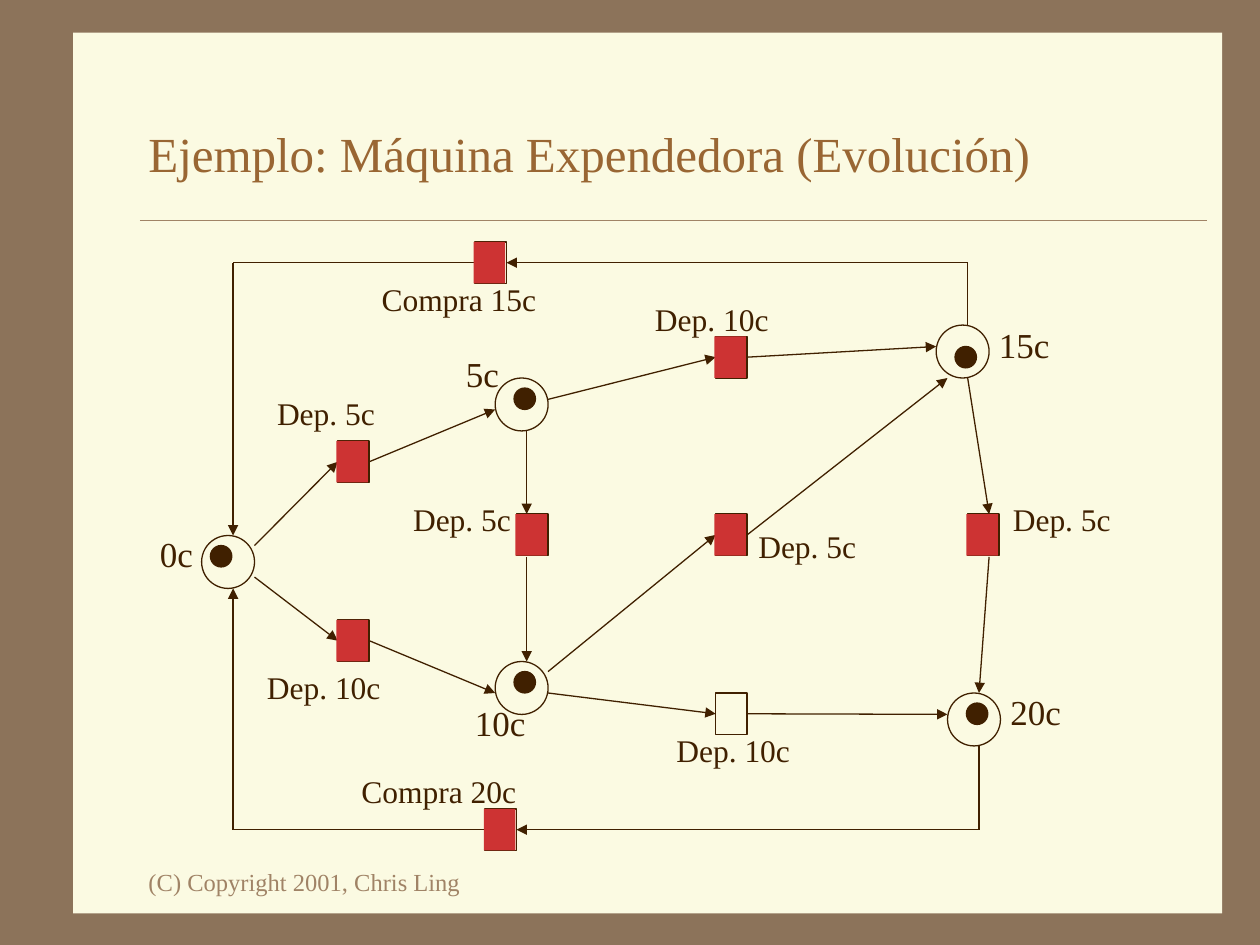
from lxml import etree
from pptx import Presentation
from pptx.dml.color import RGBColor
from pptx.enum.shapes import MSO_CONNECTOR, MSO_SHAPE
from pptx.enum.text import MSO_ANCHOR
from pptx.oxml.ns import qn
from pptx.util import Inches, Pt

STRAIGHT = MSO_CONNECTOR.STRAIGHT
RECTANGLE, OVAL = MSO_SHAPE.RECTANGLE, MSO_SHAPE.OVAL
TOP, MIDDLE = MSO_ANCHOR.TOP, MSO_ANCHOR.MIDDLE
LEFT, RIGHT = 1, 3  # connection sites of a rectangle

FRAME = RGBColor(0x8C, 0x73, 0x5A)
PAPER = RGBColor(0xFB, 0xFA, 0xE2)
RULE = RGBColor(0xA0, 0x83, 0x66)
TITLE = RGBColor(0x99, 0x66, 0x33)
INK = RGBColor(0x40, 0x20, 0x00)
FIRED = RGBColor(0xCD, 0x33, 0x33)
FONT = "Times New Roman"

PLACE_SIZE, TOKEN_SIZE = 0.42, 0.17
BAR_WIDTH, BAR_HEIGHT = 0.25, 0.33
FIRED_SHIFT = 0.01
LABEL_WIDTHS = {2: 0.46, 3: 0.6, 7: 0.98, 8: 1.1, 10: 1.43}  # by characters

# Positions below are inches from the corner of the diagram box.
# Place: (circle, token, label)
PLACES = {
    "0c": ((0.6, 3.25), (0.67, 3.33), (0.17, 3.18)),
    "5c": ((2.93, 2), (3.08, 2.08), (2.6, 1.75)),
    "10c": ((2.93, 4.25), (3.08, 4.33), (2.67, 4.52)),
    "15c": ((6.43, 1.58), (6.58, 1.75), (6.83, 1.52)),
    "20c": ((6.52, 4.5), (6.67, 4.58), (6.92, 4.43)),
}

# Transition: (bar, label text, label, fired)
TRANSITIONS = {
    "0 to 5": ((1.68, 2.5), "Dep. 5c", (1.1, 2.08), True),
    "0 to 10": ((1.68, 3.92), "Dep. 10c", (1.02, 4.25), True),
    "5 to 10": ((3.1, 3.08), "Dep. 5c", (2.18, 2.92), True),
    "5 to 15": ((4.68, 1.67), "Dep. 10c", (4.1, 1.33), True),
    "10 to 15": ((4.68, 3.08), "Dep. 5c", (4.92, 3.13), True),
    "10 to 20": ((4.68, 4.5), "Dep. 10c", (4.27, 4.75), False),
    "15 to 20": ((6.68, 3.08), "Dep. 5c", (6.94, 2.92), True),
    "buy 15": ((2.77, 0.92), "Compra 15c", (1.93, 1.17), True),
    "buy 20": ((2.85, 5.42), "Compra 20c", (1.77, 5.08), True),
}

# Arcs through the sides of a bar: (start, transition, end)
SIDE_ARCS = [
    ((1.02, 3.33), "0 to 5", (2.93, 2.25)),
    ((1.02, 3.58), "0 to 10", (2.93, 4.5)),
    ((3.35, 2.17), "5 to 15", (6.43, 1.75)),
    ((3.35, 4.33), "10 to 15", (6.52, 2)),
    ((3.35, 4.5), "10 to 20", (6.52, 4.67)),
]

# Arcs above and below a bar: (start, end)
VERTICAL_ARCS = [
    ((3.18, 2.42), (3.18, 3.08)),
    ((3.18, 3.42), (3.18, 4.25)),
    ((6.68, 2), (6.85, 3.08)),
    ((6.85, 3.42), (6.77, 4.5)),
]

# Return loops: (transition, right column, start height, end height)
LOOPS = [("buy 15", 6.68, 1.58, 3.25), ("buy 20", 6.77, 4.92, 3.67)]
LOOP_LEFT = 0.85


def add_box(slide, kind, left, top, width, height, fill=None, line=None):
    shape = slide.shapes.add_shape(
        kind, Inches(left), Inches(top), Inches(width), Inches(height))
    shape.shadow.inherit = False
    if fill is None:
        shape.fill.background()
    else:
        shape.fill.solid()
        shape.fill.fore_color.rgb = fill
    if line is None:
        shape.line.fill.background()
    else:
        shape.line.color.rgb = line
        shape.line.width = Pt(0.75)
    return shape


def add_text(slide, text, box, size, color, anchor=TOP, wrap=True):
    shape = slide.shapes.add_textbox(*(Inches(value) for value in box))
    text_frame = shape.text_frame
    text_frame.text = text
    text_frame.word_wrap = wrap
    text_frame.vertical_anchor = anchor
    font = text_frame.paragraphs[0].runs[0].font
    font.name, font.size, font.color.rgb = FONT, Pt(size), color


def add_line(slide, start, end, color=INK, width=0.75, arrow=True):
    connector = slide.shapes.add_connector(
        STRAIGHT, *(Inches(value) for value in (*start, *end)))
    connector.line.color.rgb = color
    connector.line.width = Pt(width)
    if arrow:
        line = connector.line._get_or_add_ln()
        etree.SubElement(line, qn("a:tailEnd"), type="triangle")
    etree.SubElement(connector._element.spPr, qn("a:effectLst"))
    return connector


def add_page(slide, left, top, width, height):
    slide.background.fill.solid()
    slide.background.fill.fore_color.rgb = FRAME
    add_box(slide, RECTANGLE, left, top, width, height, PAPER)
    # Title and the rule below it
    add_text(slide, "Ejemplo: Máquina Expendedora (Evolución)",
             (left + 0.5, top + 0.41, 8.5, 1.08), 28, TITLE, MIDDLE)
    rule_top = top + 1.49
    add_line(slide, (left + 0.53, rule_top), (left + 9, rule_top), RULE, 0.25, False)
    # Footer
    add_text(slide, "(C) Copyright 2001, Chris Ling",
             (left + 0.5, top + 6.57, 2.75, 0.33), 14, RULE)


def add_petri_net(slide, left, top):
    def at(point):
        return left + point[0], top + point[1]

    def add_label(text, point, size):
        box = (*at(point), LABEL_WIDTHS[len(text)], 0.4)
        add_text(slide, text, box, size, INK, wrap=False)

    # Places and transition bars
    for circle, token, label in PLACES.values():
        add_box(slide, OVAL, *at(circle), PLACE_SIZE, PLACE_SIZE, line=INK)
    bars = {
        name: add_box(slide, RECTANGLE, *at(corner), BAR_WIDTH, BAR_HEIGHT, line=INK)
        for name, (corner, *rest) in TRANSITIONS.items()
    }

    # Arcs between places
    for start, name, end in SIDE_ARCS:
        corner = at(TRANSITIONS[name][0])
        add_line(slide, at(start), corner).end_connect(bars[name], LEFT)
        add_line(slide, corner, at(end)).begin_connect(bars[name], RIGHT)
    for start, end in VERTICAL_ARCS:
        add_line(slide, at(start), at(end))

    # Loops back to the first place
    for name, column, start, end in LOOPS:
        level = TRANSITIONS[name][0][1] + BAR_HEIGHT / 2
        right_corner, left_corner = at((column, level)), at((LOOP_LEFT, level))
        add_line(slide, at((column, start)), right_corner, arrow=False)
        add_line(slide, right_corner, left_corner).end_connect(bars[name], RIGHT)
        outgoing = add_line(slide, right_corner, left_corner, arrow=False)
        outgoing.begin_connect(bars[name], LEFT)
        add_line(slide, left_corner, at((LOOP_LEFT, end)))

    # Labels
    for name, (circle, token, label) in PLACES.items():
        add_label(name, label, 20)
    for corner, text, label, fired in TRANSITIONS.values():
        add_label(text, label, 18)

    # Fired transitions and tokens
    for (x, y), text, label, fired in TRANSITIONS.values():
        if fired:
            add_box(slide, RECTANGLE, *at((x - FIRED_SHIFT, y)),
                    BAR_WIDTH, BAR_HEIGHT, FIRED)
    for circle, token, label in PLACES.values():
        add_box(slide, OVAL, *at(token), TOKEN_SIZE, TOKEN_SIZE, INK, INK)


def main():
    presentation = Presentation()
    presentation.slide_width = Inches(10)
    presentation.slide_height = Inches(7.5)
    slide = presentation.slides.add_slide(presentation.slide_layouts[6])
    add_page(slide, 0.58, 0.26, 9.12, 6.99)
    add_petri_net(slide, 1, 1)
    presentation.save("out.pptx")


if __name__ == "__main__":
    main()
